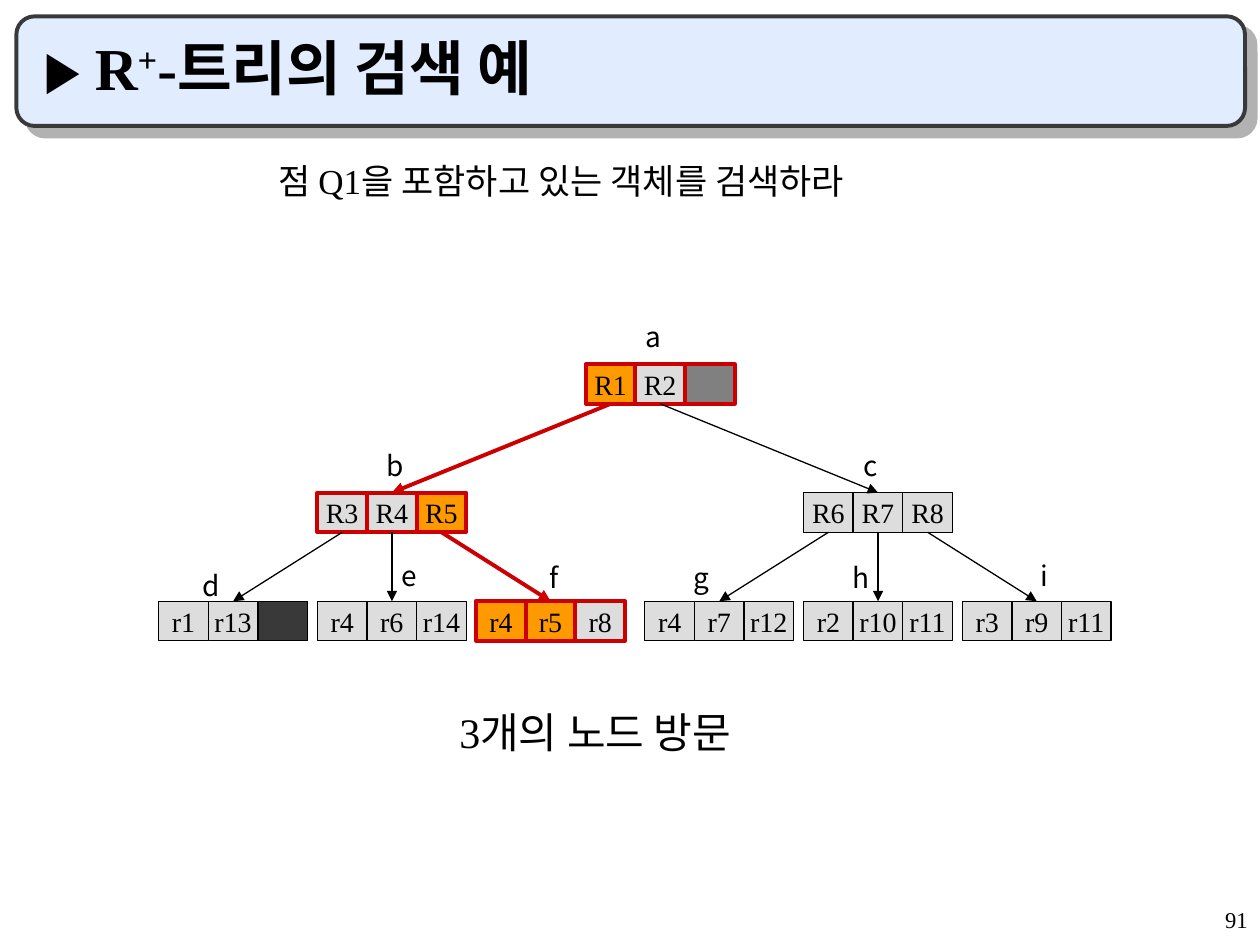
from dataclasses import dataclass

from lxml.etree import SubElement
from pptx import Presentation
from pptx.dml.color import RGBColor
from pptx.enum.shapes import MSO_CONNECTOR, MSO_SHAPE
from pptx.enum.text import MSO_ANCHOR, PP_ALIGN
from pptx.oxml.ns import qn
from pptx.util import Cm, Pt


@dataclass(frozen=True)
class Theme:
    latin: str = "Times New Roman"
    korean: str = "Noto Sans CJK KR"
    ink: str = "000000"
    banner: str = "E1ECFF"
    banner_line: str = "393939"
    shadow: str = "B2B2B2"
    cell: str = "DDDDDD"
    match: str = "FF9900"
    visited: str = "CC0000"
    root_empty: str = "808080"
    leaf_empty: str = "393939"
    thick: float = 2.25
    thin: float = 0.75
    marker_size: float = 32
    title_size: float = 34
    result_size: float = 24
    query_size: float = 20
    node_size: float = 16
    page_size: float = 12.9


@dataclass(frozen=True)
class Node:
    left: float
    top: float
    cells: tuple
    label_shift: tuple  # from the top centre of the node to that of its label
    matches: tuple = ()
    visited: bool = False
    empty: str = ""


THEME = Theme()
CELL_WIDTH, CELL_HEIGHT = 1.0, 0.8
ROOT_TOP, BRANCH_TOP, LEAF_TOP = 7.34, 9.93, 12.12
LEAF_STEP, LEFT_LEAVES, RIGHT_LEAVES = 3.2, 3.2, 13.0

NODES = {
    "a": Node(11.81, ROOT_TOP, ("R1", "R2", ""), (-0.14, -1.02), (0,), True, THEME.root_empty),
    "b": Node(6.4, BRANCH_TOP, ("R3", "R4", "R5"), (0.06, -1.02), (2,), True),
    "c": Node(16.2, BRANCH_TOP, ("R6", "R7", "R8"), (-0.14, -1.02)),
    "d": Node(LEFT_LEAVES, LEAF_TOP, ("r1", "r13", ""), (-0.45, -0.79), empty=THEME.leaf_empty),
    "e": Node(LEFT_LEAVES + LEAF_STEP, LEAF_TOP, ("r4", "r6", "r14"), (0.36, -0.99)),
    "f": Node(LEFT_LEAVES + 2 * LEAF_STEP, LEAF_TOP, ("r4", "r5", "r8"), (0.06, -0.94), (0, 1), True),
    "g": Node(RIGHT_LEAVES, LEAF_TOP, ("r4", "r7", "r12"), (-0.35, -0.94)),
    "h": Node(RIGHT_LEAVES + LEAF_STEP, LEAF_TOP, ("r2", "r10", "r11"), (-0.35, -0.94)),
    "i": Node(RIGHT_LEAVES + 2 * LEAF_STEP, LEAF_TOP, ("r3", "r9", "r11"), (0.16, -0.99)),
}
CHILDREN = {"a": "bc", "b": "def", "c": "ghi"}


def color(value):
    return RGBColor.from_string(value)


def add_run(paragraph, text, size, latin=THEME.latin, bold=False, baseline=None):
    run = paragraph.add_run()
    run.text = text
    run.font.size = Pt(size)
    run.font.bold = bold
    run.font.name = latin
    run.font.color.rgb = color(THEME.ink)
    properties = run._r.get_or_add_rPr()
    SubElement(properties, qn("a:ea")).set("typeface", THEME.korean)
    if baseline:
        properties.set("baseline", str(baseline))


def add_text(slide, box, text="", size=16, align=PP_ALIGN.LEFT, line_spacing=None, **run_format):
    shape = slide.shapes.add_textbox(*map(Cm, box))
    shape.text_frame.word_wrap = True
    paragraph = shape.text_frame.paragraphs[0]
    paragraph.alignment = align
    if line_spacing:
        paragraph.line_spacing = line_spacing
    if text:
        add_run(paragraph, text, size, **run_format)
    return shape


def style_shape(shape, fill, line, width):
    shape.shadow.inherit = False
    shape.fill.solid()
    shape.fill.fore_color.rgb = color(fill)
    shape.line.color.rgb = color(line)
    shape.line.width = Pt(width)


def add_banner(slide, box):
    left, top, width, height = box
    banner = slide.shapes.add_shape(MSO_SHAPE.ROUNDED_RECTANGLE, *map(Cm, box))
    style_shape(banner, THEME.banner, THEME.banner_line, THEME.thick)
    effects = banner._element.spPr.find(qn("a:effectLst"))
    shadow = SubElement(effects, qn("a:outerShdw"), dist=str(Pt(8.5)), dir="2700000",
                        algn="ctr", rotWithShape="0")
    SubElement(shadow, qn("a:srgbClr"), val=THEME.shadow)

    title = add_text(slide, (left + 0.3, top + 0.3, width - 0.84, height - 0.77))
    title.text_frame.vertical_anchor = MSO_ANCHOR.BOTTOM
    title.text_frame.margin_top = title.text_frame.margin_bottom = 0
    paragraph = title.text_frame.paragraphs[0]
    add_run(paragraph, "▶ ", THEME.marker_size, bold=True)
    add_run(paragraph, "R", THEME.title_size, bold=True)
    add_run(paragraph, "+", THEME.title_size, bold=True, baseline=30000)
    add_run(paragraph, "-트리의 검색 예", THEME.title_size, bold=True)


def add_node(slide, name, node):
    # Row of cells
    group = slide.shapes.add_group_shape()
    for index, text in enumerate(node.cells):
        box = (node.left + index * CELL_WIDTH, node.top, CELL_WIDTH, CELL_HEIGHT)
        cell = group.shapes.add_shape(MSO_SHAPE.RECTANGLE, *map(Cm, box))
        fill = THEME.match if index in node.matches else THEME.cell if text else node.empty
        line, width = (THEME.visited, THEME.thick) if node.visited else (THEME.ink, THEME.thin)
        style_shape(cell, fill, line, width)
        if text:
            cell.text_frame.word_wrap = False
            cell.text_frame.vertical_anchor = MSO_ANCHOR.MIDDLE
            paragraph = cell.text_frame.paragraphs[0]
            paragraph.alignment = PP_ALIGN.CENTER
            add_run(paragraph, text, THEME.node_size)

    # Node name above the cells
    label_width = 3.0
    shift_x, shift_y = node.label_shift
    center = node.left + len(node.cells) * CELL_WIDTH / 2
    add_text(slide, (center + shift_x - label_width / 2, node.top + shift_y, label_width, 0.94),
             name, THEME.node_size, PP_ALIGN.CENTER, latin=THEME.korean)


def add_branch(slide, parent, index, child):
    start = (parent.left + (index + 0.5) * CELL_WIDTH, parent.top + CELL_HEIGHT)
    end = (child.left + len(child.cells) * CELL_WIDTH / 2, child.top)
    arrow = slide.shapes.add_connector(MSO_CONNECTOR.STRAIGHT, *map(Cm, start + end))
    arrow.line.color.rgb = color(THEME.visited if child.visited else THEME.ink)
    arrow.line.width = Pt(THEME.thick if child.visited else THEME.thin)
    SubElement(arrow.line._get_or_add_ln(), qn("a:tailEnd"), type="triangle")
    SubElement(arrow._element.spPr, qn("a:effectLst"))


def add_tree(slide):
    for name, node in NODES.items():
        add_node(slide, name, node)
    for parent, children in CHILDREN.items():
        for index, child in enumerate(children):
            add_branch(slide, NODES[parent], index, NODES[child])


def add_query(slide, box):
    shape = add_text(slide, box, "점 Q1을 포함하고 있는 객체를 검색하라", THEME.query_size, line_spacing=0.7)
    properties = shape.text_frame.paragraphs[0]._p.get_or_add_pPr()
    properties.set("marL", str(Cm(2.06)))
    properties.set("indent", str(Cm(-0.79)))


def main():
    presentation = Presentation()
    presentation.slide_width, presentation.slide_height = Cm(25.4), Cm(19.05)
    slide = presentation.slides.add_slide(presentation.slide_layouts[6])

    add_banner(slide, (0.33, 0.33, 24.77, 2.21))
    add_query(slide, (4.09, 3.33, 16.61, 0.86))
    add_tree(slide)
    # Result and page number
    add_text(slide, (3.3, 14.12, 17.4, 1.27), "3개의 노드 방문", THEME.result_size, PP_ALIGN.CENTER)
    add_text(slide, (20.12, 18.21, 5.28, 0.84), "91", THEME.page_size, PP_ALIGN.RIGHT, 0.9)
    presentation.save("out.pptx")


if __name__ == "__main__":
    main()
